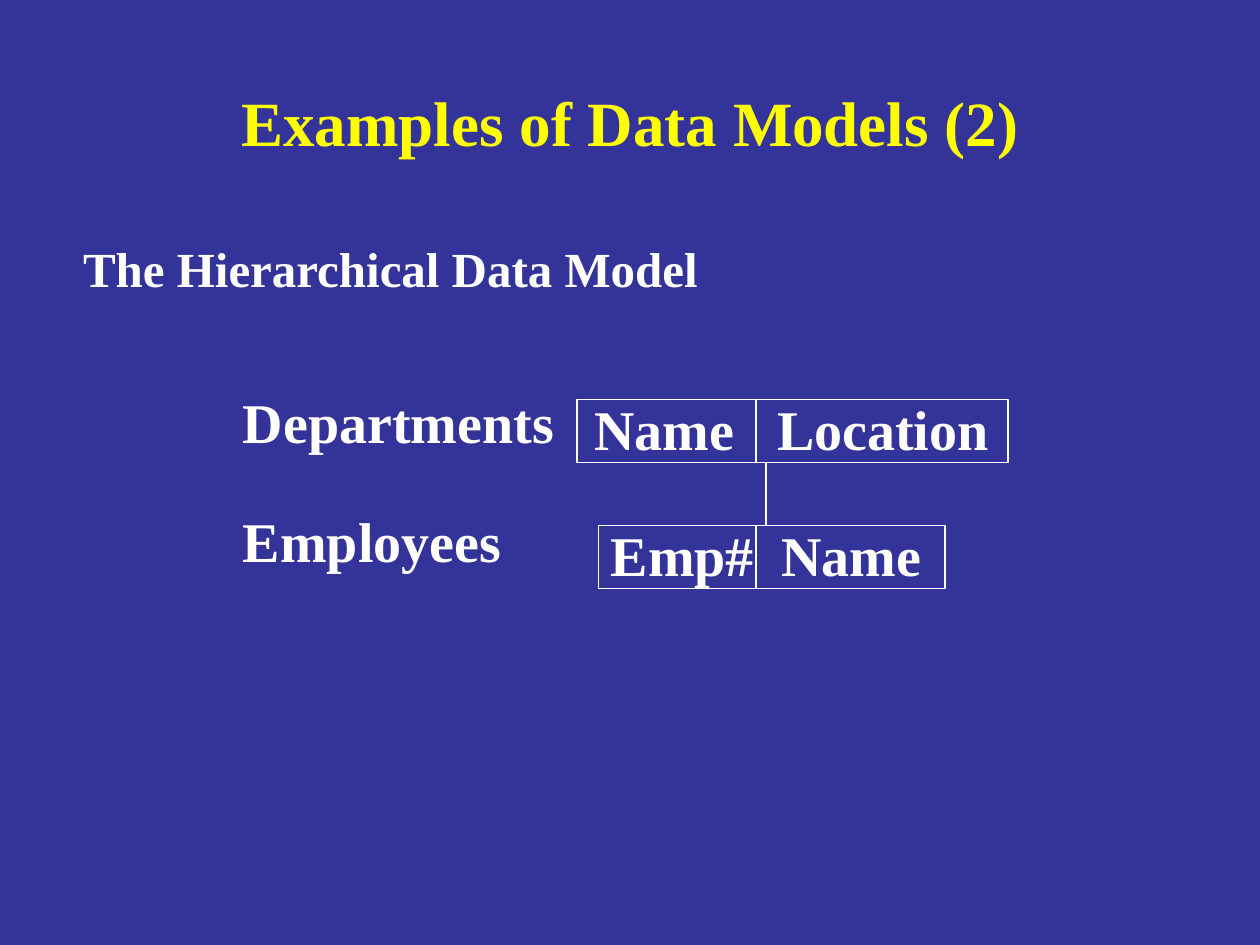
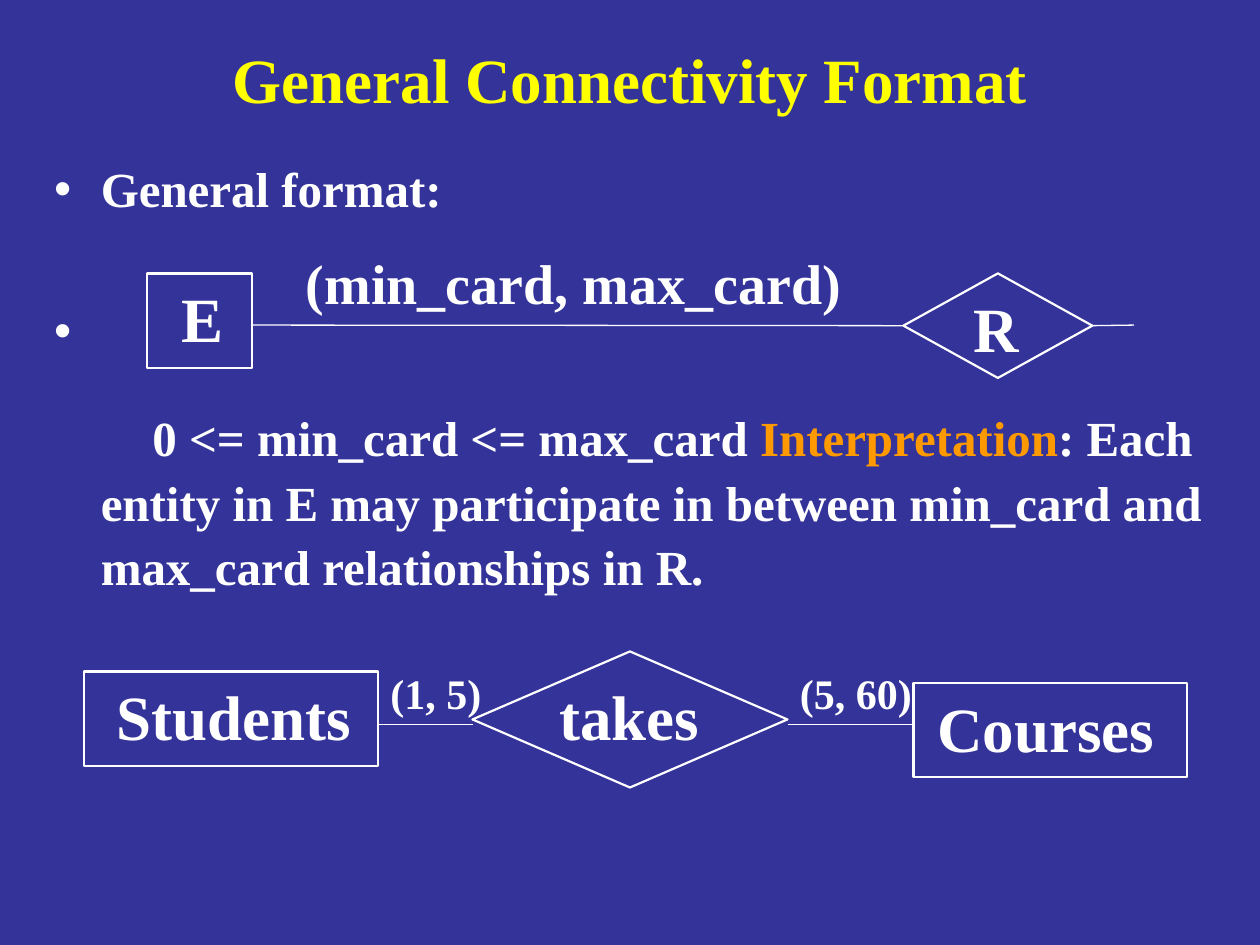
from dataclasses import dataclass

import pptx
import pptx.dml.color
import pptx.enum.shapes
import pptx.enum.text
import pptx.oxml.ns
import pptx.util
from lxml import etree

Inches = pptx.util.Inches
Pt = pptx.util.Pt
Shape = pptx.enum.shapes.MSO_SHAPE
Align = pptx.enum.text.PP_ALIGN
Anchor = pptx.enum.text.MSO_ANCHOR
AutoSize = pptx.enum.text.MSO_AUTO_SIZE
qn = pptx.oxml.ns.qn


@dataclass(frozen=True)
class Theme:
    font: str = "Times New Roman"
    background: str = "333399"
    title: str = "FFFF00"
    text: str = "FFFFFF"
    accent: str = "FF9900"
    title_size: int = 36
    entity_size: int = 36
    label_size: int = 32
    body_size: int = 28
    cardinality_size: int = 24
    thin_line: float = 0.75
    thick_line: float = 1.25


def rgb(value):
    return pptx.dml.color.RGBColor.from_string(value)


class SlideBuilder:
    def __init__(self, deck, theme):
        self.deck = deck
        self.theme = theme
        self.page = None
        fill = deck.slide_master.background.fill
        fill.solid()
        fill.fore_color.rgb = rgb(theme.background)

    def new_page(self, title, top, height):
        self.page = self.deck.slides.add_slide(self.deck.slide_layouts[1])
        box = self.page.shapes.title
        self.place(box, 0.75, top, 8.5, height)
        box.text_frame.vertical_anchor = Anchor.MIDDLE
        para = box.text_frame.paragraphs[0]
        para.alignment = Align.CENTER
        self.add_span(para, title, self.theme.title_size, self.theme.title)

    def place(self, box, left, top, width, height):
        box.left, box.top = Inches(left), Inches(top)
        box.width, box.height = Inches(width), Inches(height)
        box.text_frame.auto_size = AutoSize.NONE
        box.text_frame.word_wrap = True

    def add_span(self, para, text, size, color=None):
        span = para.add_run()
        span.text = text
        span.font.name = self.theme.font
        span.font.size = Pt(size)
        span.font.bold = True
        span.font.color.rgb = rgb(color or self.theme.text)

    def body(self, top, height, inset):
        frame_box = self.page.placeholders[1]
        self.place(frame_box, 0.33, top, 9.33, height)
        frame_box.text_frame.margin_top = Inches(inset)
        return frame_box.text_frame

    def body_paragraph(self, frame, spans, margin, indent, bullet=False, before=0, spacing=1.0):
        """Fill the first empty paragraph, or append one, with (text, color) spans."""
        para = frame.paragraphs[-1]
        if para.runs:
            para = frame.add_paragraph()
        para.space_before = Pt(before)
        para.line_spacing = spacing
        properties = para._p.get_or_add_pPr()
        properties.set("marL", str(Inches(margin)))
        properties.set("indent", str(Inches(indent)))
        if bullet:
            color = etree.SubElement(properties, qn("a:buClr"))
            etree.SubElement(color, qn("a:srgbClr"), val=self.theme.text)
            etree.SubElement(properties, qn("a:buChar"), char="•")
        else:
            etree.SubElement(properties, qn("a:buNone"))
        for text, color in spans:
            self.add_span(para, text, self.theme.body_size, color)

    def label(self, text, left, top, width, height, size):
        box = self.page.shapes.add_textbox(
            Inches(left), Inches(top), Inches(width), Inches(height))
        box.text_frame.word_wrap = False
        self.add_span(box.text_frame.paragraphs[0], text, size)

    def outline(self, kind, left, top, width, height, weight):
        shape = self.page.shapes.add_shape(
            kind, Inches(left), Inches(top), Inches(width), Inches(height))
        shape.shadow.inherit = False
        shape.fill.background()
        shape.line.color.rgb = rgb(self.theme.text)
        shape.line.width = Pt(weight)
        return shape

    def line(self, start_x, start_y, end_x, end_y):
        connector = self.page.shapes.add_connector(
            pptx.enum.shapes.MSO_CONNECTOR.STRAIGHT,
            Inches(start_x), Inches(start_y), Inches(end_x), Inches(end_y))
        connector.line.color.rgb = rgb(self.theme.text)
        connector.line.width = Pt(self.theme.thin_line)
        etree.SubElement(connector._element.spPr, qn("a:effectLst"))
        return connector


def build_hierarchical_model(builder):
    theme = builder.theme
    builder.new_page("Examples of Data Models (2)", 0.5, 0.92)
    frame = builder.body(1.75, 5.25, 0.14)
    builder.body_paragraph(frame, [("The Hierarchical Data Model", None)], 0.23, 0)

    divider, row_height = 6, 0.5
    records = [
        ("Departments", 3.03, 2.67, 3.17, 4.58, 3.42,
         [("Name", 4.62, 1.32), ("Location", 6.07, 1.9)]),
        ("Employees", 3.97, 2.25, 4.17, 4.75, 2.75,
         [("Emp#", 4.75, 1.35), ("Name", 6.1, 1.32)]),
    ]
    for name, name_top, name_width, top, left, width, fields in records:
        builder.label(name, 1.83, name_top, name_width, 0.64, theme.label_size)
        for field, field_left, field_width in fields:
            builder.label(field, field_left, top - 0.09, field_width, 0.64, theme.label_size)
        builder.outline(Shape.RECTANGLE, left, top, width, row_height, theme.thin_line)
        builder.line(divider, top, divider, top + row_height)
    builder.line(6.08, 3.67, 6.08, 4.17)


def build_connectivity_format(builder):
    theme = builder.theme
    builder.new_page("General Connectivity Format", 0.25, 0.75)
    frame = builder.body(1.17, 6, 0.09)
    builder.body_paragraph(frame, [("General format:", None)], 0.37, -0.37, bullet=True)
    builder.body_paragraph(frame, [(" ", None)], 0.37, -0.37, bullet=True, before=47.5)
    builder.body_paragraph(frame, [
        ("0 <= min_card <= max_card ", None),
        ("Interpretation", theme.accent),
        (": Each entity in E may participate in between min_card and "
         "max_card relationships in R.", None),
    ], 0.37, 0.41, before=24, spacing=1.1)

    # name, label left, top, width, then outline kind, left, top, width, height
    nodes = [
        ("E", 1.34, 2.17, 0.53, Shape.RECTANGLE, 1.17, 2.17, 0.83, 0.75),
        ("R", 7.63, 2.25, 0.56, Shape.DIAMOND, 7.17, 2.17, 1.5, 0.83),
        ("Students", 0.83, 5.33, 2.06, Shape.RECTANGLE, 0.67, 5.33, 2.33, 0.75),
        ("takes", 4.34, 5.33, 1.31, Shape.DIAMOND, 3.75, 5.17, 2.5, 1.08),
        ("Courses", 7.34, 5.42, 1.92, Shape.RECTANGLE, 7.25, 5.42, 2.17, 0.75),
    ]
    outlines = {}
    for name, left, top, width, kind, *bounds in nodes:
        builder.label(name, left, top, width, 0.7, theme.entity_size)
        outlines[name] = builder.outline(kind, *bounds, theme.thick_line)

    builder.label("(min_card, max_card)", 2.33, 1.92, 4.45, 0.64, theme.label_size)
    builder.label("(1, 5)", 3, 5.25, 0.92, 0.5, theme.cardinality_size)
    builder.label("(5, 60)", 6.25, 5.25, 1.09, 0.5, theme.cardinality_size)

    builder.line(2, 2.58, 7.17, 2.58).end_connect(outlines["R"], 1)
    builder.line(8.67, 2.58, 9, 2.58).begin_connect(outlines["R"], 3)
    for start, end in [(3, 3.75), (6.25, 7.25)]:
        builder.line(start, 5.75, end, 5.75)


def main():
    deck = pptx.Presentation()
    deck.slide_width, deck.slide_height = Inches(10), Inches(7.5)
    builder = SlideBuilder(deck, Theme())
    build_hierarchical_model(builder)
    build_connectivity_format(builder)
    deck.save("out.pptx")


if __name__ == "__main__":
    main()
